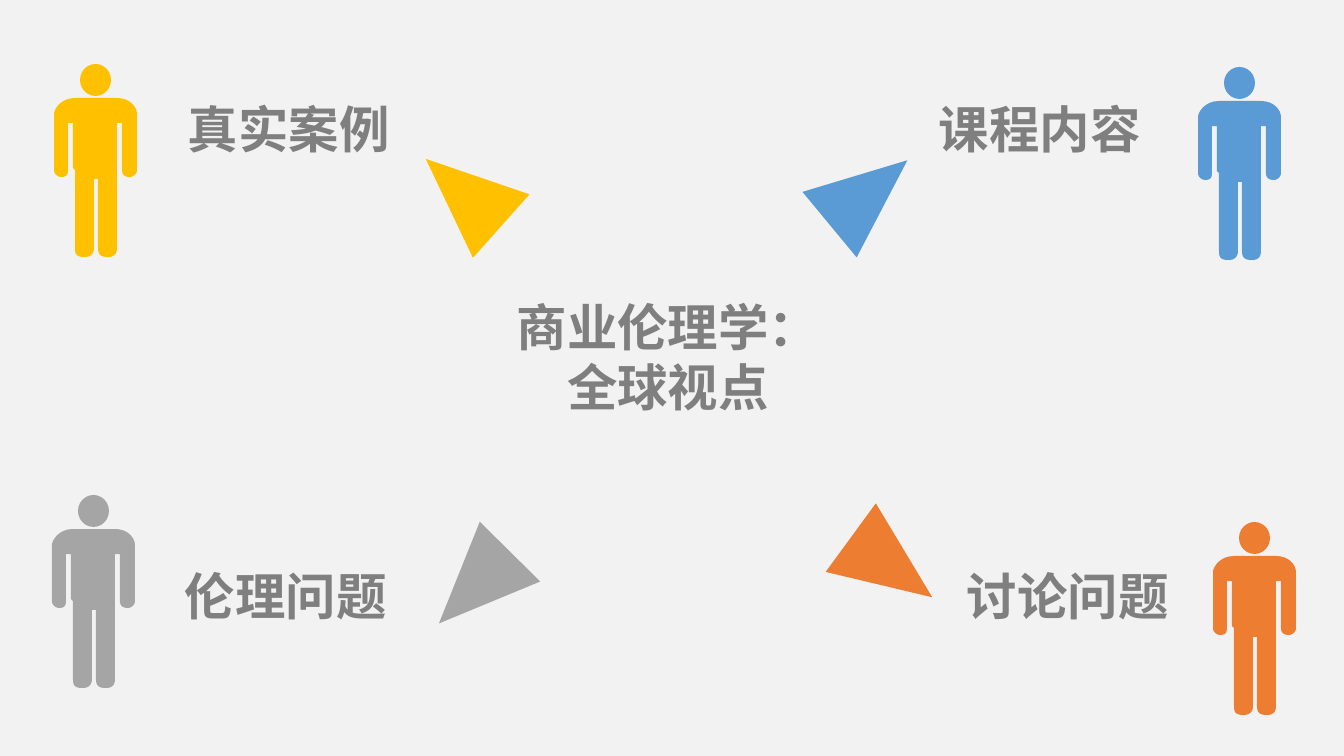
from dataclasses import dataclass

from pptx import Presentation
from pptx import util as u
from pptx.dml.color import RGBColor
from pptx.enum import shapes, text

SCALE = 914400 / 100.8
CURVE_STEPS = 8
BODY_PATH = [
    (63, 0), (21, 0), (7, 0, 0, 11, 0, 16), (0, 72),
    (0, 77, 5, 79, 7, 79), (12, 79, 14, 77, 14, 72), (14, 25), (19, 25),
    (19, 70), (21, 72), (21, 150), (21, 157, 23, 159, 31, 159),
    (35, 159, 40, 157, 40, 150), (40, 81), (44, 81), (44, 150),
    (44, 157, 47, 159, 54, 159), (59, 159, 63, 157, 63, 150), (63, 25),
    (68, 25), (68, 72), (68, 77, 71, 79, 76, 79),
    (78, 79, 83, 77, 83, 72), (83, 16), (83, 9, 76, 0, 63, 0),
]


@dataclass(frozen=True)
class Theme:
    """Colours and type of the slide."""
    background: str = "F2F2F2"
    ink: str = "7F7F7F"
    yellow: str = "FFC000"
    gray: str = "A5A5A5"
    blue: str = "5B9BD5"
    orange: str = "ED7D31"
    font: str = "Calibri"
    size: int = 36


@dataclass(frozen=True)
class Topic:
    """A corner topic with its label, arrow and figure positions."""
    label: str
    color: str
    label_at: tuple[int, int]
    arrow_at: tuple[int, int]
    angle: float
    body_at: tuple[int, int]


THEME = Theme()
TOPICS = [
    Topic("真实案例", THEME.yellow, (178, 93), (421, 142), 311.7, (54, 98)),
    Topic("伦理问题", THEME.gray, (175, 560), (432, 537), 224.7, (52, 529)),
    Topic("课程内容", THEME.blue, (929, 93), (826, 142), 50.4, (1198, 101)),
    Topic("讨论问题", THEME.orange, (957, 560), (849, 517), 126.2, (1213, 556)),
]


def px(value: float) -> u.Emu:
    """Turn pixels into EMU."""
    return u.Emu(round(value * SCALE))


def paint(shape, color: str) -> None:
    """Give a shape a flat fill without line or shadow."""
    shape.shadow.inherit = False
    shape.fill.solid()
    shape.fill.fore_color.rgb = RGBColor.from_string(color)
    shape.line.fill.background()


def add_preset(target, kind, left: int, top: int, width: int, height: int, color: str):
    """Add a flat preset shape."""
    shape = target.add_shape(kind, px(left), px(top), px(width), px(height))
    paint(shape, color)
    return shape


def write(box, words: str, align) -> None:
    """Write one line of bold text in a wrapping box."""
    frame = box.text_frame
    frame.word_wrap = True
    frame.auto_size = text.MSO_AUTO_SIZE.SHAPE_TO_FIT_TEXT
    frame.vertical_anchor = text.MSO_ANCHOR.TOP
    frame.text = words
    para = frame.paragraphs[0]
    para.alignment = align
    para.font.name = THEME.font
    para.font.size = u.Pt(THEME.size)
    para.font.bold = True
    para.font.color.rgb = RGBColor.from_string(THEME.ink)


def trace(path: list[tuple[int, ...]]) -> list[tuple[float, float]]:
    """Turn lines and cubic curves into points."""
    points = []
    for step in path:
        if len(step) == 2:
            points.append(step)
            continue
        corners = [points[-1], step[:2], step[2:4], step[4:]]
        for index in range(1, CURVE_STEPS + 1):
            t = index / CURVE_STEPS
            weights = ((1 - t) ** 3, 3 * t * (1 - t) ** 2, 3 * t * t * (1 - t), t ** 3)
            points.append(tuple(
                sum(weight * corner[axis] for weight, corner in zip(weights, corners))
                for axis in (0, 1)))
    return points


def add_figure(page, topic: Topic) -> None:
    """Draw a standing person as a group of body and head."""
    left, top = topic.body_at
    group = page.shapes.add_group_shape()
    points = [(px(left + x), px(top + y)) for x, y in trace(BODY_PATH)]
    builder = group.shapes.build_freeform(*points[0])
    builder.add_line_segments(points[1:], close=True)
    paint(builder.convert_to_shape(), topic.color)
    add_preset(group.shapes, shapes.MSO_SHAPE.OVAL, left + 26, top - 34, 31, 32, topic.color)


def add_topic(page, topic: Topic) -> None:
    """Draw the arrow, label and figure of a topic."""
    arrow = add_preset(page.shapes, shapes.MSO_SHAPE.ISOSCELES_TRIANGLE,
                       *topic.arrow_at, 85, 101, topic.color)
    arrow.rotation = topic.angle
    left, top = topic.label_at
    box = page.shapes.add_textbox(px(left), px(top), px(297), px(72))
    write(box, topic.label, text.PP_ALIGN.LEFT)
    add_figure(page, topic)


def main() -> None:
    """Build and save the slide."""
    deck = Presentation()
    deck.slide_width, deck.slide_height = px(1344), px(756)
    page = deck.slides.add_slide(deck.slide_layouts.get_by_name("Title Only"))
    page.background.fill.solid()
    page.background.fill.fore_color.rgb = RGBColor.from_string(THEME.background)
    title = page.shapes.title
    title.left, title.top, title.width, title.height = px(485), px(291), px(366), px(132)
    write(title, "商业伦理学：全球视点", text.PP_ALIGN.CENTER)
    for topic in TOPICS:
        add_topic(page, topic)
    deck.save("out.pptx")


main()
